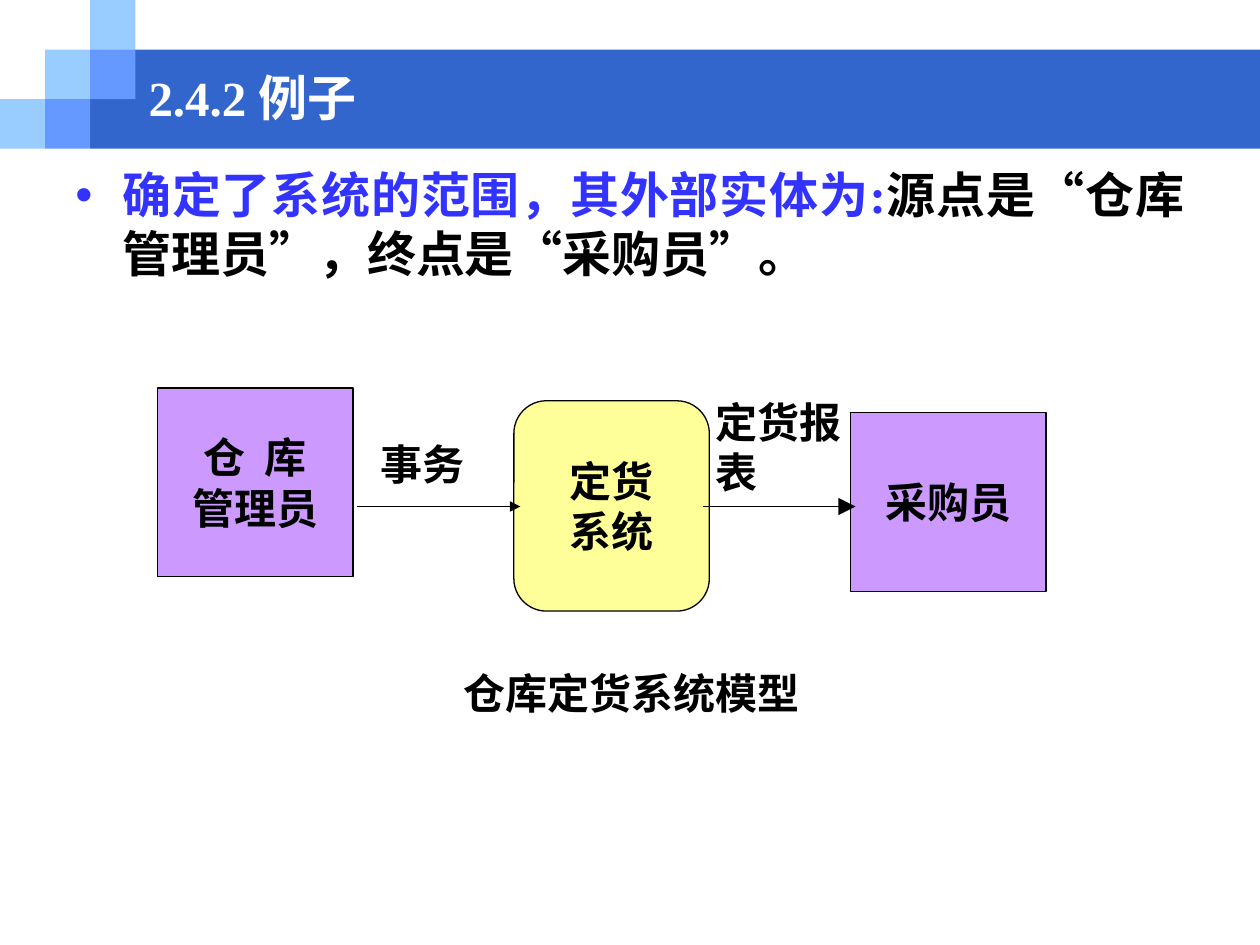
"""Build the slide that shows the context model of a warehouse ordering system."""
from dataclasses import dataclass

from lxml import etree
from pptx import Presentation
from pptx.dml.color import RGBColor
from pptx.enum.lang import MSO_LANGUAGE_ID
from pptx.enum.shapes import MSO_CONNECTOR, MSO_SHAPE
from pptx.enum.text import MSO_ANCHOR, PP_ALIGN
from pptx.oxml.ns import qn
from pptx.util import Cm, Pt

RECTANGLE = MSO_SHAPE.RECTANGLE
ROUNDED = MSO_SHAPE.ROUNDED_RECTANGLE
STRAIGHT = MSO_CONNECTOR.STRAIGHT
MIDDLE, TOP = MSO_ANCHOR.MIDDLE, MSO_ANCHOR.TOP
LEFT, CENTER, JUSTIFY = PP_ALIGN.LEFT, PP_ALIGN.CENTER, PP_ALIGN.JUSTIFY
CHINESE = MSO_LANGUAGE_ID.SIMPLIFIED_CHINESE
TITLE_ONLY = 5


@dataclass(frozen=True)
class Theme:
    font: str = "Times New Roman"
    heading_size: int = 28
    label_size: int = 24
    line_width: float = 0.75
    text: str = "000000"
    title: str = "FFFFFF"
    accent: str = "3333FF"
    band: str = "3366CC"
    light_tile: str = "99CCFF"
    dark_tile: str = "6699FF"
    entity: str = "CC99FF"
    process: str = "FFFF99"


class SlideBuilder:
    def __init__(self, slide, theme):
        self.slide = slide
        self.theme = theme

    def place(self, shape, left, top, width, height):
        shape.left, shape.top = Cm(left), Cm(top)
        shape.width, shape.height = Cm(width), Cm(height)

    def format_run(self, run, size, color):
        font = run.font
        font.name, font.size, font.bold = self.theme.font, Pt(size), True
        font.color.rgb = RGBColor.from_string(color)
        font.language_id = CHINESE

    def fill_text(self, shape, text, size, color, alignment=LEFT, anchor=TOP, wrap=True):
        frame = shape.text_frame
        frame.text = text
        frame.word_wrap = wrap
        frame.vertical_anchor = anchor
        for paragraph in frame.paragraphs:
            paragraph.alignment = alignment
            for run in paragraph.runs:
                self.format_run(run, size, color)

    def title(self, text, *box):
        shape = self.slide.shapes.title
        self.place(shape, *box)
        self.fill_text(shape, text, self.theme.heading_size, self.theme.title, anchor=MIDDLE)
        shape.element.getparent().append(shape.element)

    def block(self, kind, fill, left, top, width, height):
        shape = self.slide.shapes.add_shape(kind, Cm(left), Cm(top), Cm(width), Cm(height))
        shape.shadow.inherit = False
        shape.fill.solid()
        shape.fill.fore_color.rgb = RGBColor.from_string(fill)
        shape.line.fill.background()
        return shape

    def node(self, kind, fill, text, *box):
        shape = self.block(kind, fill, *box)
        shape.line.color.rgb = RGBColor.from_string(self.theme.text)
        shape.line.width = Pt(self.theme.line_width)
        self.fill_text(shape, text, self.theme.label_size, self.theme.text, CENTER, MIDDLE, False)

    def label(self, text, left, top, width, height):
        shape = self.slide.shapes.add_textbox(Cm(left), Cm(top), Cm(width), Cm(height))
        self.fill_text(shape, text, self.theme.label_size, self.theme.text)

    def bullet(self, parts, left, top, width, height):
        shape = self.slide.shapes.add_textbox(Cm(left), Cm(top), Cm(width), Cm(height))
        shape.text_frame.word_wrap = True
        paragraph = shape.text_frame.paragraphs[0]
        paragraph.alignment = JUSTIFY
        properties = paragraph._p.get_or_add_pPr()
        indent = Cm(0.95)
        properties.set("marL", str(indent))
        properties.set("indent", str(-indent))
        bullet_color = etree.SubElement(properties, qn("a:buClr"))
        etree.SubElement(bullet_color, qn("a:srgbClr"), val=self.theme.accent)
        etree.SubElement(properties, qn("a:buFont"), typeface="Arial")
        etree.SubElement(properties, qn("a:buChar"), char="•")
        for text, color in parts:
            run = paragraph.add_run()
            run.text = text
            self.format_run(run, self.theme.heading_size, color)

    def arrow(self, start, end, height, head_size):
        connector = self.slide.shapes.add_connector(
            STRAIGHT, Cm(start), Cm(height), Cm(end), Cm(height))
        connector.line.color.rgb = RGBColor.from_string(self.theme.text)
        connector.line.width = Pt(self.theme.line_width)
        etree.SubElement(connector.line._get_or_add_ln(), qn("a:tailEnd"),
                         type="triangle", w=head_size, len=head_size)
        etree.SubElement(connector.element.spPr, qn("a:effectLst"))


def main():
    presentation = Presentation()
    presentation.slide_width, presentation.slide_height = Cm(25.4), Cm(19.05)
    slide = presentation.slides.add_slide(presentation.slide_layouts[TITLE_ONLY])
    theme = Theme()
    builder = SlideBuilder(slide, theme)

    tile_width, tile_height = 0.91, 1
    band_left = 2 * tile_width
    builder.block(RECTANGLE, theme.band, band_left, tile_height,
                  25.4 - band_left, 2 * tile_height)
    tiles = [(0, 2, theme.light_tile), (1, 1, theme.light_tile), (2, 0, theme.light_tile),
             (2, 1, theme.dark_tile), (1, 2, theme.dark_tile)]
    for column, row, color in tiles:
        builder.block(RECTANGLE, color, column * tile_width, row * tile_height,
                      tile_width, tile_height)
    builder.title("2.4.2 例子", 2.74, 1.27, 20.52, 1.35)

    builder.bullet([("确定了系统的范围，其外部实体为:", theme.accent),
                    ("源点是“仓库管理员”，终点是“采购员”。", theme.text)],
                   1.27, 3.2, 22.86, 3.58)

    node_width, flow_height = 3.94, 10.21
    builder.node(RECTANGLE, theme.entity, "仓  库\n管理员", 3.18, 7.82, node_width, 3.81)
    builder.node(ROUNDED, theme.process, "定货\n系统", 10.36, 8.08, node_width, 4.24)
    builder.node(RECTANGLE, theme.entity, "采购员", 17.15, 8.31, node_width, 3.61)
    builder.arrow(7.19, 10.49, flow_height, "med")
    builder.arrow(14.17, 17.25, flow_height, "lg")
    builder.label("事务", 7.42, 8.71, 2.84, 1.27)
    builder.label("定货报表", 14.17, 7.87, 3.07, 2.29)
    builder.label("仓库定货系统模型", 9.09, 13.34, 7.62, 1.27)

    presentation.save("out.pptx")


if __name__ == "__main__":
    main()
